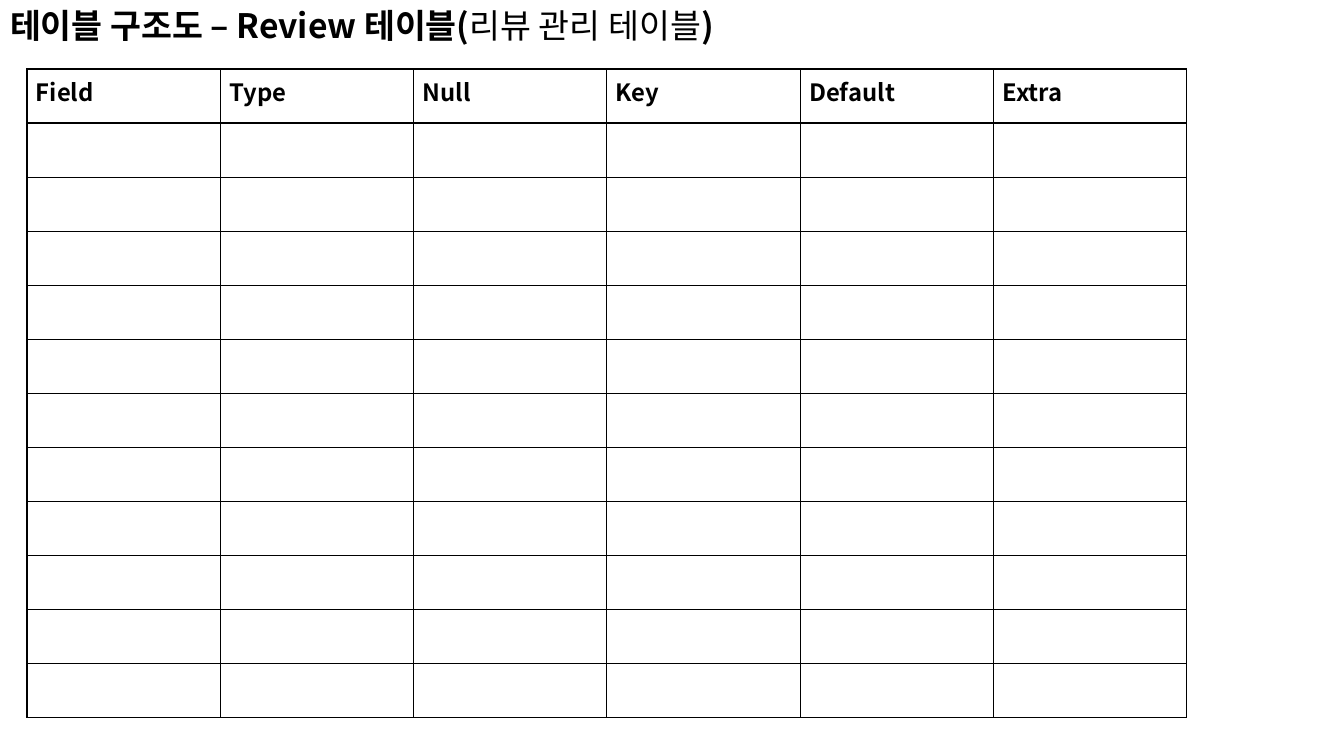
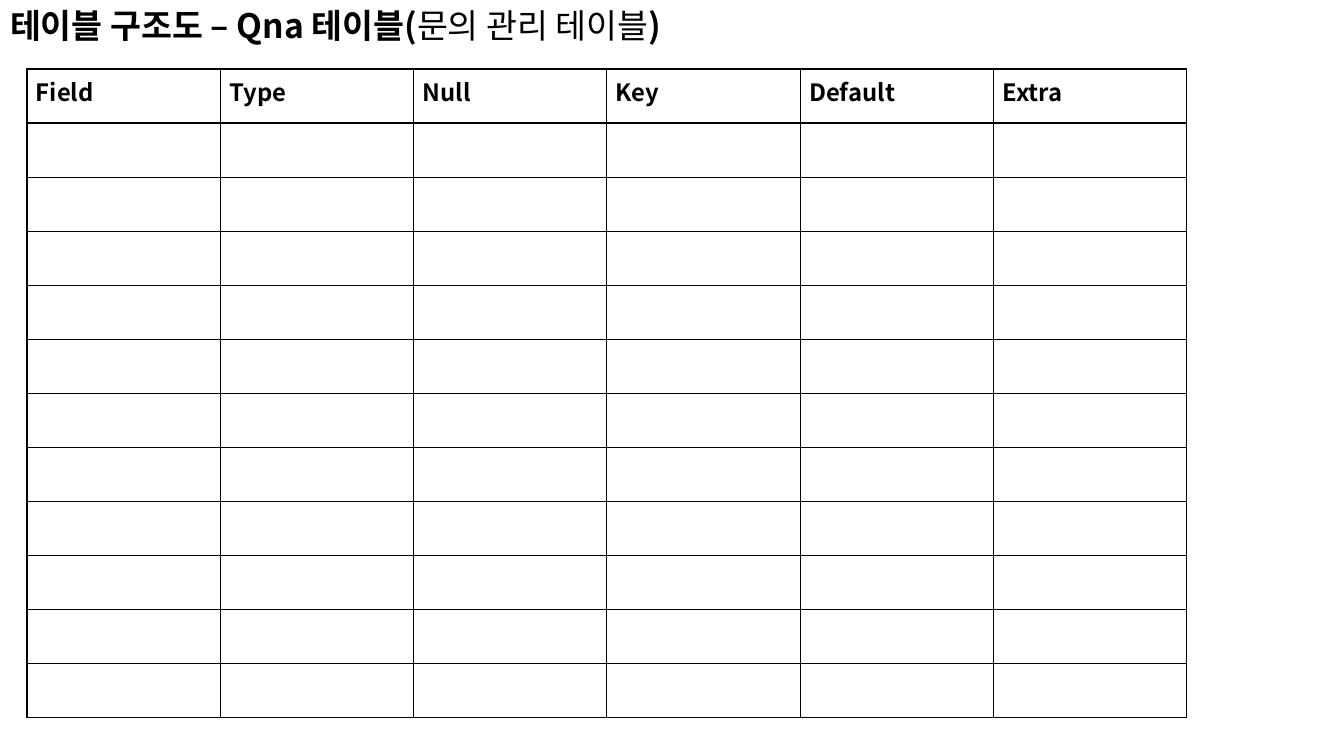
from dataclasses import dataclass

from lxml.etree import SubElement
from pptx import Presentation
from pptx.dml.color import RGBColor
from pptx.enum.text import MSO_ANCHOR, MSO_AUTO_SIZE, PP_ALIGN
from pptx.oxml.ns import qn
from pptx.util import Pt


@dataclass(frozen=True)
class Theme:
    font: str = "Noto Sans CJK KR"
    ink: str = "000000"
    paper: str = "FFFFFF"
    title_size: int = 24
    header_size: int = 17
    border: int = 1


THEME = Theme()
EMU_PER_PX = 914400 / 100.8
SLIDE_SIZE = (1344, 756)
TITLE_BOX = (0, 0, 942, 50)
TABLE_BOX = (27, 69, 1160, 649)
CELL_INSETS = {"margin_left": 9, "margin_right": 9, "margin_top": 5, "margin_bottom": 5}
ROW_COUNT = 12
HEADERS = ["Field", "Type", "Null", "Key", "Default", "Extra"]
TABLES = [("Review", "리뷰 관리 테이블"), ("Qna", "문의 관리 테이블")]


def px(value):
    return round(value * EMU_PER_PX)


def set_all(target, values):
    for name, value in values.items():
        setattr(target, name, value)


def add_run(p, text, size, bold=True):
    r = p.add_run()
    r.text = text
    set_all(r.font, {"name": THEME.font, "size": Pt(size), "bold": bold})
    r.font.color.rgb = RGBColor.from_string(THEME.ink)
    # Korean glyphs take the East Asian typeface
    SubElement(r.font._element, qn("a:ea"), typeface=THEME.font)


def add_title(s, name, purpose):
    title = s.shapes.title
    set_all(title, dict(zip(("left", "top", "width", "height"), map(px, TITLE_BOX))))
    tf = title.text_frame
    set_all(tf, {"word_wrap": True, "auto_size": MSO_AUTO_SIZE.NONE,
                 "vertical_anchor": MSO_ANCHOR.MIDDLE})
    p = tf.paragraphs[0]
    p.alignment = PP_ALIGN.LEFT
    parts = [(f"테이블 구조도 – {name} 테이블(", True), (purpose, False), (")", True)]
    for text, bold in parts:
        add_run(p, text, THEME.title_size, bold)


def style_cell(cell):
    set_all(cell, {name: px(value) for name, value in CELL_INSETS.items()})
    # Borders come before the fill in the cell properties
    tc_pr = cell._tc.get_or_add_tcPr()
    for edge in ("lnL", "lnR", "lnT", "lnB"):
        line = SubElement(tc_pr, qn(f"a:{edge}"), w=str(Pt(THEME.border)))
        fill = SubElement(line, qn("a:solidFill"))
        SubElement(fill, qn("a:srgbClr"), val=THEME.ink)
    cell.fill.solid()
    cell.fill.fore_color.rgb = RGBColor.from_string(THEME.paper)


def add_field_table(s):
    left, top, width, height = map(px, TABLE_BOX)
    table = s.shapes.add_table(ROW_COUNT, len(HEADERS), left, top, width, height).table
    set_all(table, {"first_row": False, "horz_banding": False})
    for cell in table.iter_cells():
        style_cell(cell)
    for column, text in enumerate(HEADERS):
        add_run(table.cell(0, column).text_frame.paragraphs[0], text, THEME.header_size)


def main():
    prs = Presentation()
    prs.slide_width, prs.slide_height = map(px, SLIDE_SIZE)
    title_only = prs.slide_layouts.get_by_name("Title Only")
    for name, purpose in TABLES:
        s = prs.slides.add_slide(title_only)
        add_title(s, name, purpose)
        add_field_table(s)
    prs.save("out.pptx")


if __name__ == "__main__":
    main()
